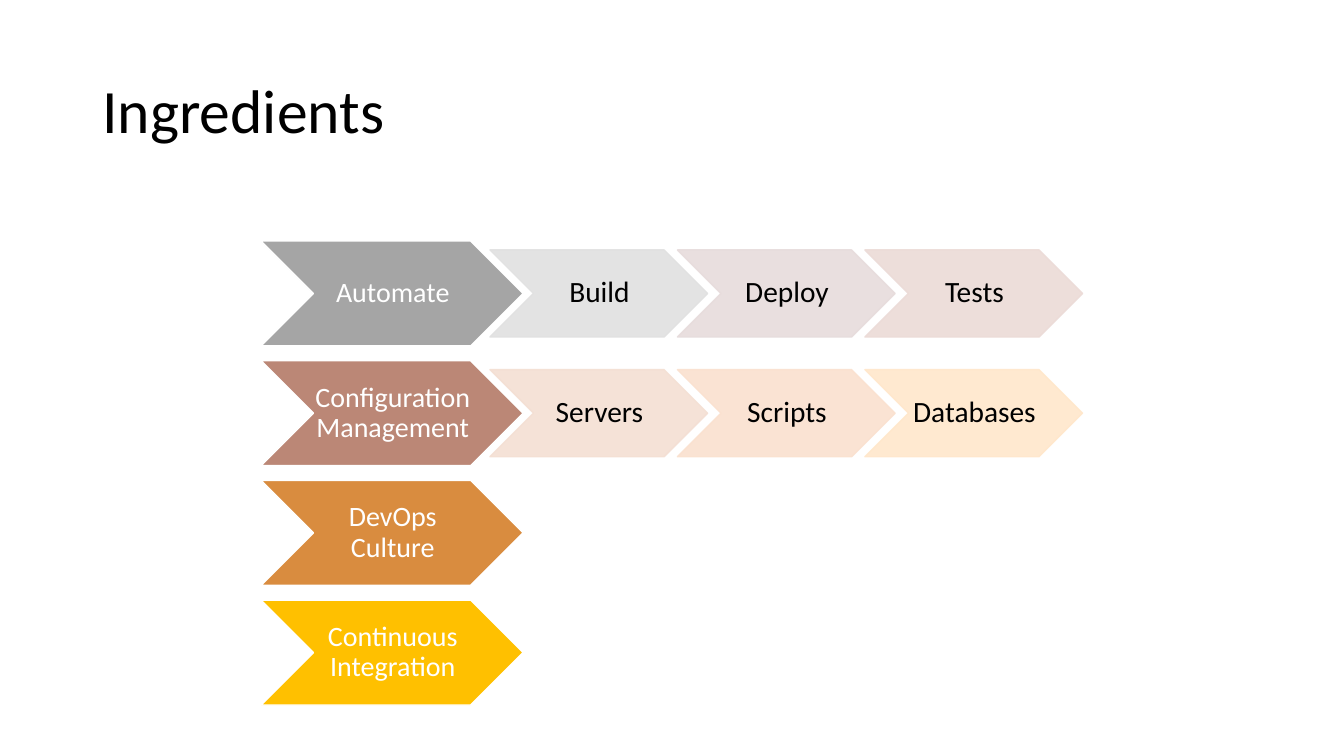
"""Build the Ingredients slide with its rows of chevrons."""
from lxml import etree
from pptx import Presentation
from pptx.dml.color import RGBColor
from pptx.enum import shapes, text
from pptx.oxml import ns
from pptx.util import Pt

BLACK = RGBColor(0x00, 0x00, 0x00)
WHITE = RGBColor(0xFF, 0xFF, 0xFF)
GRAY = RGBColor(0xA5, 0xA5, 0xA5)
CLAY = RGBColor(0xBB, 0x87, 0x76)
AMBER = RGBColor(0xD9, 0x8C, 0x3F)
GOLD = RGBColor(0xFF, 0xC0, 0x00)
SILVER = RGBColor(0xE1, 0xE1, 0xE1)
MAUVE = RGBColor(0xE7, 0xDC, 0xDC)
ROSE = RGBColor(0xEC, 0xDB, 0xD7)
BLUSH = RGBColor(0xF4, 0xDF, 0xD3)
PEACH = RGBColor(0xFA, 0xE1, 0xCF)
CREAM = RGBColor(0xFF, 0xE7, 0xCB)

ROWS = [
    ("Automate", GRAY,
     [("Build", SILVER), ("Deploy", MAUVE), ("Tests", ROSE)]),
    ("Configuration Management", CLAY,
     [("Servers", BLUSH), ("Scripts", PEACH), ("Databases", CREAM)]),
    ("DevOps Culture", AMBER, []),
    ("Continuous Integration", GOLD, []),
]
LEFT, TOP, STEP = 186.5, 172.2, 85.5
WIDE, HIGH = 187.2, 74.9
SUB_LEFT, SUB_STEP = 350, 133.9
SUB_WIDE, SUB_HIGH = 155.5, 62.2


def style(frame, label, size, color, align):
    frame.text = label
    frame.word_wrap = True
    frame.vertical_anchor = text.MSO_ANCHOR.MIDDLE
    para = frame.paragraphs[0]
    para.alignment = align
    para.line_spacing = 0.9
    font = para.runs[0].font
    font.name = "Calibri"
    font.size = Pt(size)
    font.color.rgb = color


def chevron(label, box, fill, edge, size, color):
    shape = slide.shapes.add_shape(
        shapes.MSO_SHAPE.CHEVRON, *[Pt(n) for n in box])
    shape.shadow.inherit = False
    shape.fill.solid()
    shape.fill.fore_color.rgb = fill
    shape.line.color.rgb = edge
    shape.line.width = Pt(1)
    frame = shape.text_frame
    frame.margin_left = Pt(1)
    frame.margin_right = Pt(0)
    frame.margin_top = frame.margin_bottom = Pt(1)
    style(frame, label, size, color, text.PP_ALIGN.CENTER)
    return shape


deck = Presentation()
deck.slide_width, deck.slide_height = Pt(960), Pt(540)
slide = deck.slides.add_slide(deck.slide_layouts[5])

title = slide.shapes.title
title.left, title.top = Pt(66), Pt(28.75)
title.width, title.height = Pt(828), Pt(104.4)
style(title.text_frame, "Ingredients", 44, BLACK, text.PP_ALIGN.LEFT)

for row, (name, fill, parts) in enumerate(ROWS):
    top = TOP + row * STEP
    chevron(name, (LEFT, top, WIDE, HIGH), fill, WHITE, 20, WHITE)
    for col, (part, tint) in enumerate(parts):
        box = (SUB_LEFT + col * SUB_STEP, top + (HIGH - SUB_HIGH) / 2,
               SUB_WIDE, SUB_HIGH)
        shape = chevron(part, box, tint, tint, 21, BLACK)
        for node in shape.element.spPr.iter(ns.qn("a:srgbClr")):
            etree.SubElement(node, ns.qn("a:alpha"), val="90000")

deck.save("out.pptx")
